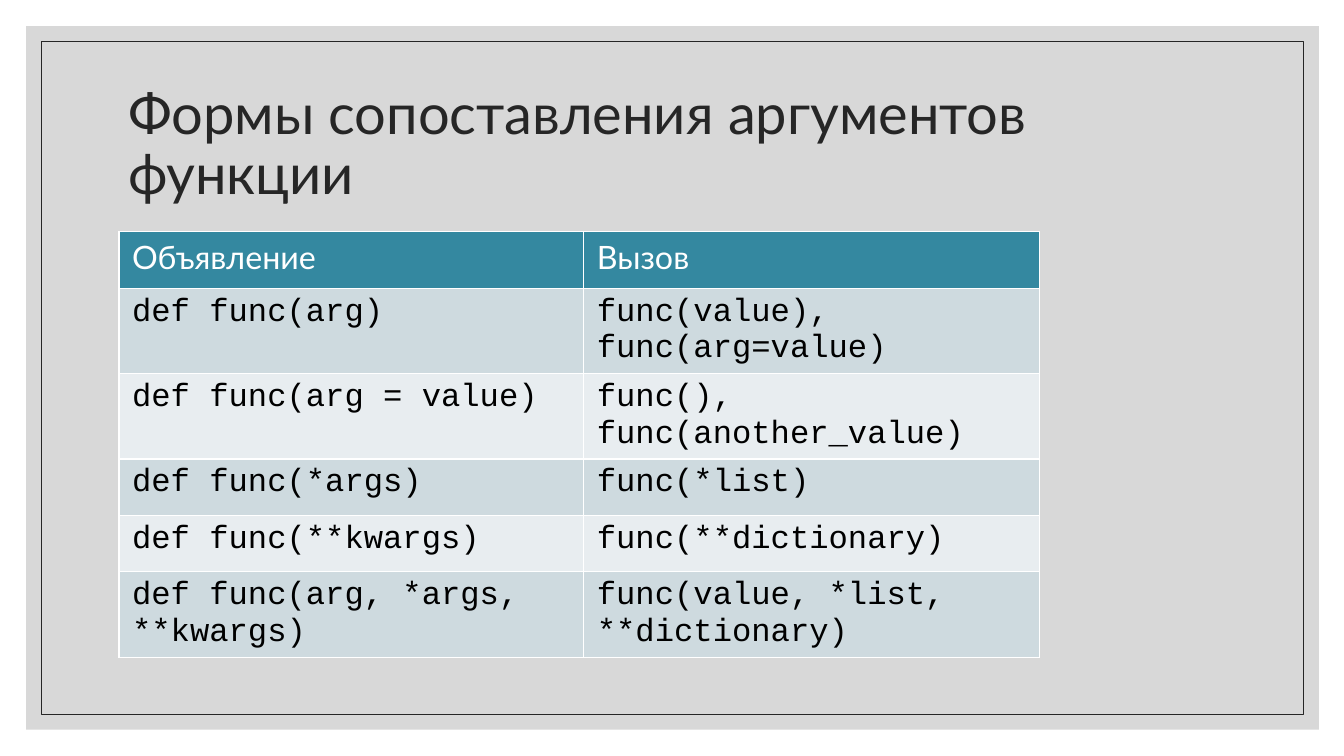
from pptx import Presentation, oxml
from pptx import util as u
from pptx.dml.color import RGBColor
from pptx.enum import shapes, text
from pptx.oxml import ns

TITLE = "Формы сопоставления аргументов функции"
ROWS = [
    ("Объявление", "Вызов"),
    ("def func(arg)", "func(value), func(arg=value)"),
    ("def func(arg = value)", "func(), func(another_value)"),
    ("def func(*args)", "func(*list)"),
    ("def func(**kwargs)", "func(**dictionary)"),
    ("def func(arg, *args, **kwargs)", "func(value, *list, **dictionary)"),
]
COLS = (4.61, 4.52)
HIGH = 0.56

WHITE = RGBColor(0xFF, 0xFF, 0xFF)
BLACK = RGBColor(0, 0, 0)
GREY = RGBColor(0xBF, 0xBF, 0xBF)
DARK = RGBColor(0x26, 0x26, 0x26)
TEAL = RGBColor(0x34, 0x88, 0xA0)
BANDS = (RGBColor(0xE8, 0xED, 0xF0), RGBColor(0xCE, 0xDA, 0xDF))


def write(frame, words, size=23, font="Lato", color=BLACK, space=None):
    frame.word_wrap = True
    para = frame.paragraphs[0]
    para.alignment = text.PP_ALIGN.LEFT
    para.line_spacing = space
    run = para.add_run()
    run.text = words
    run.font.size = u.Pt(size)
    run.font.name = font
    run.font.bold = False
    run.font.color.rgb = color


def panel(slide, inset):
    box = slide.shapes.add_shape(
        shapes.MSO_SHAPE.RECTANGLE, u.Inches(inset), u.Inches(inset),
        u.Inches(13.34 - 2 * inset), u.Inches(7.5 - 2 * inset))
    box.shadow.inherit = False
    return box


def border(cell):
    props = cell._tc.get_or_add_tcPr()
    for side in "LRTB":
        props.append(oxml.parse_xml(
            f'<a:ln{side} {ns.nsdecls("a")} w="12700"><a:solidFill>'
            f'<a:srgbClr val="{WHITE}"/></a:solidFill></a:ln{side}>'))


def main():
    deck = Presentation()
    deck.slide_width, deck.slide_height = u.Inches(13.33), u.Inches(7.5)
    slide = deck.slides.add_slide(deck.slide_layouts[5])

    back = panel(slide, 0.26)
    back.fill.solid()
    back.fill.fore_color.rgb = GREY
    back.line.fill.background()
    tint = back._element.spPr.find(".//" + ns.qn("a:srgbClr"))
    tint.append(oxml.parse_xml(f'<a:alpha {ns.nsdecls("a")} val="60000"/>'))

    rim = panel(slide, 0.41)
    rim.fill.background()
    rim.line.color.rgb = DARK
    rim.line.width = u.Pt(0.5)

    title = slide.shapes.title
    title.left, title.top = u.Inches(1.17), u.Inches(0.7)
    title.width, title.height = u.Inches(11), u.Inches(1.5)
    title.text_frame.vertical_anchor = text.MSO_ANCHOR.MIDDLE
    title.text_frame.auto_size = text.MSO_AUTO_SIZE.NONE
    write(title.text_frame, TITLE, size=40, color=DARK, space=0.9)
    slide.shapes._spTree.append(title._element)

    table = slide.shapes.add_table(
        len(ROWS), len(COLS), u.Inches(1.18), u.Inches(2.3),
        u.Inches(sum(COLS)), u.Inches(HIGH * len(ROWS))).table
    for col, wide in zip(table.columns, COLS):
        col.width = u.Inches(wide)
    for r, row in enumerate(ROWS):
        table.rows[r].height = u.Inches(HIGH)
        for c, words in enumerate(row):
            cell = table.cell(r, c)
            cell.margin_left = cell.margin_right = u.Inches(0.13)
            cell.margin_top = cell.margin_bottom = u.Inches(0.06)
            border(cell)
            cell.fill.solid()
            cell.fill.fore_color.rgb = BANDS[r % 2] if r else TEAL
            if r:
                write(cell.text_frame, words, font="Courier New")
            else:
                write(cell.text_frame, words, color=WHITE)

    deck.save("out.pptx")


if __name__ == "__main__":
    main()
